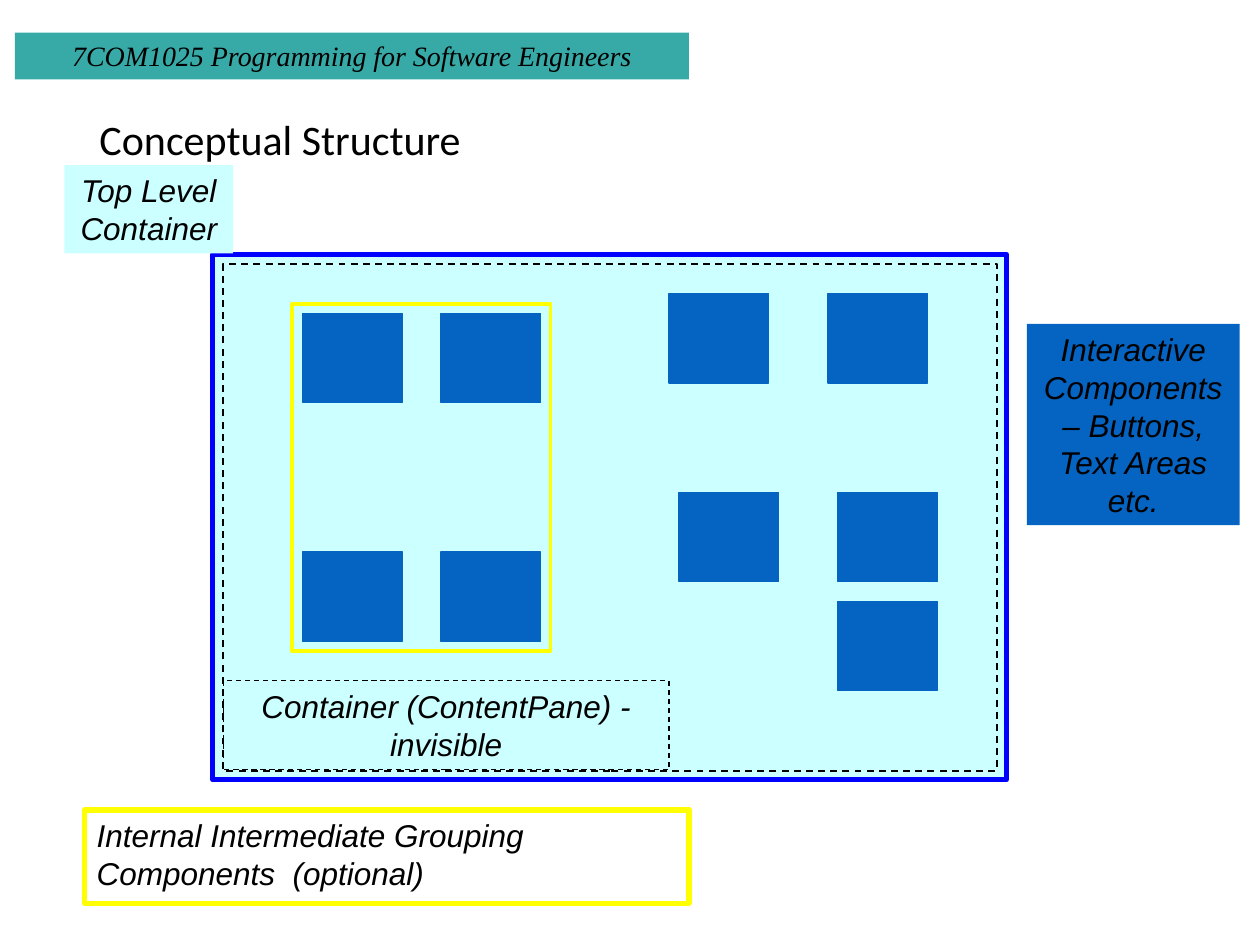
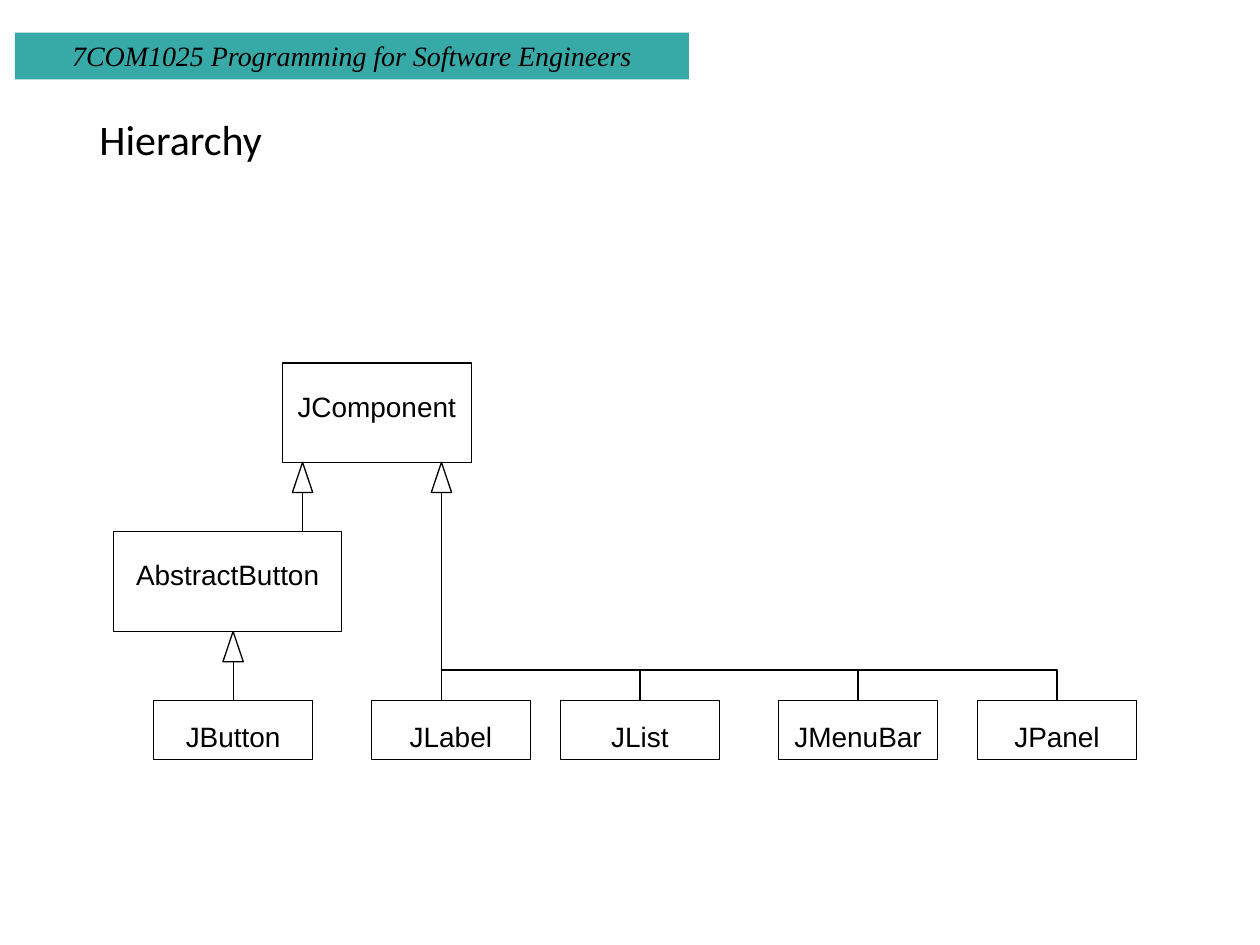
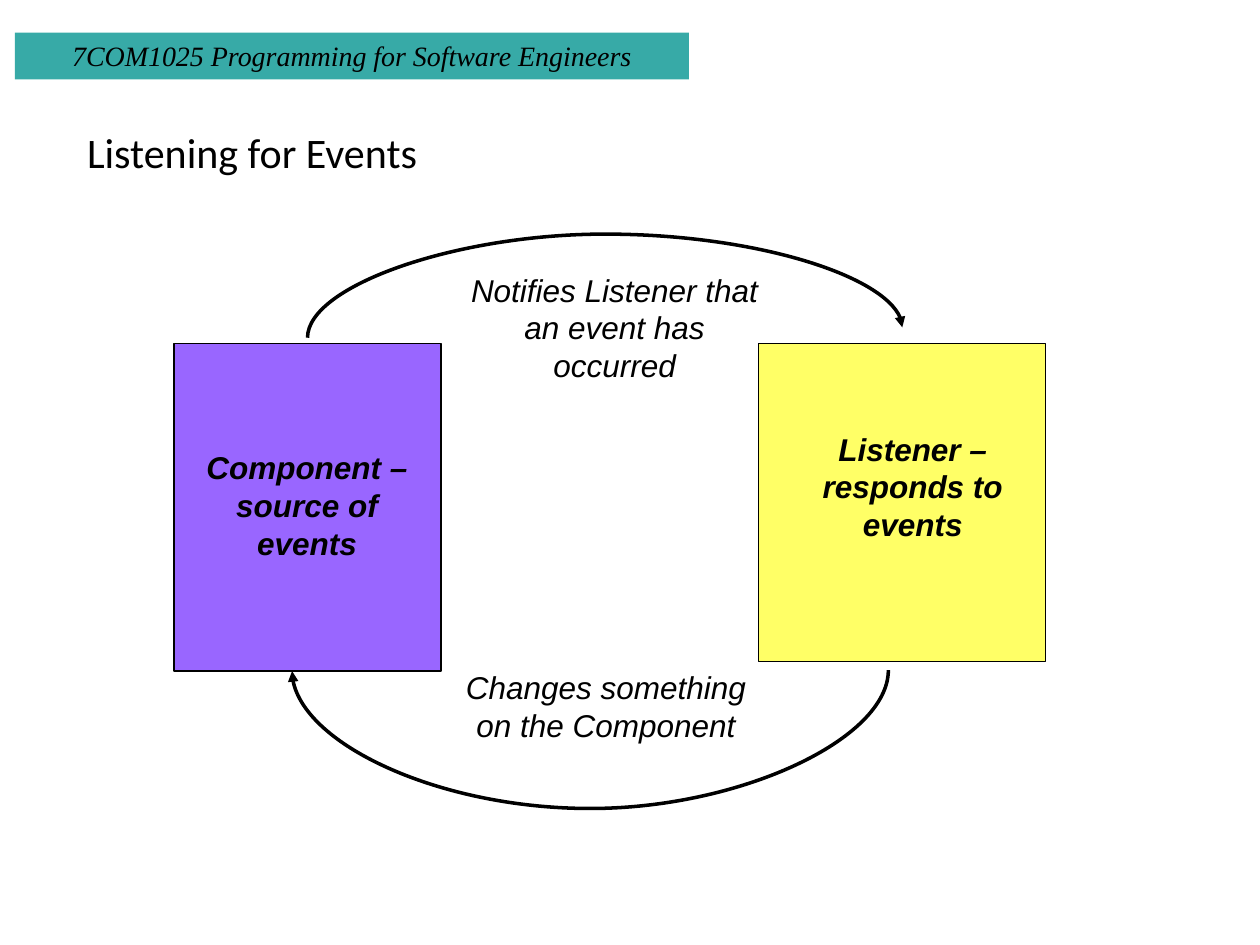
from lxml import etree
from pptx import Presentation
from pptx.dml.color import RGBColor
from pptx.enum.dml import MSO_LINE
from pptx.enum.shapes import MSO_CONNECTOR, MSO_SHAPE
from pptx.enum.text import MSO_ANCHOR, PP_ALIGN
from pptx.oxml.ns import qn
from pptx.util import Cm, Pt

# Shared look; every length is in centimetres
BLACK, TEAL, PALE, BLUE = "000000", "37AAA7", "CCFFFF", "0563C1"
NAVY, YELLOW, PURPLE, LEMON = "0000FF", "FFFF00", "9966FF", "FFFF66"
BAND_TEXT = "7COM1025 Programming for Software Engineers"
BAND_AREA = (0.3, 0.66, 13.59, 0.94)
TITLE_AREA = (1.75, 1.02, 21.9, 3.68)
LOW_TITLE_AREA = (1.5, 2.49, 22.86, 1.27)

# Conceptual structure
FRAME = (4.29, 5.13, 16, 10.59)
PANE = (4.5, 5.33, 15.6, 10.21)
GROUPING = (5.89, 6.12, 5.21, 7.01)
WIDGET_SIZE = (2.01, 1.8)
GROUPED_WIDGETS = [(x, y) for y in (6.32, 11.13) for x in (6.1, 8.89)]
FREE_WIDGETS = [(13.49, 5.92), (16.69, 5.92), (13.69, 9.93),
                (16.89, 9.93), (16.89, 12.12)]

# Class hierarchy
PARENTS = [("JComponent", (5.69, 7.32, 3.81, 2.01)),
           ("AbstractButton", (2.29, 10.72, 4.6, 2.01))]
LEAVES = [("JButton", 3.1), ("JLabel", 7.49), ("JList", 11.3),
          ("JMenuBar", 15.7), ("JPanel", 19.71)]
LEAF_TOP, LEAF_W, LEAF_H = 14.12, 3.2, 1.19
TRUNK_X, BUS_Y = 8.9, 13.51
HEAD_W, HEAD_H = 0.41, 0.61
INHERITANCE = [(TRUNK_X, 9.32, LEAF_TOP), (6.1, 9.32, 10.72),
               (4.7, 12.73, LEAF_TOP)]  # x, parent bottom, child top

# Event cycle: text, area, fill, (left, top, right) inset
ACTORS = [
    ("Component \u2013 source of events", (3.51, 6.93, 5.38, 6.6), PURPLE,
     (0.64, 2.11, 0.66)),
    ("Listener \u2013 responds to events", (15.29, 6.93, 5.79, 6.4), LEMON,
     (1.07, 1.73, 0.64)),
]
MESSAGES = [
    ("Changes something on the Component", (8.71, 13.34, 7.01, 1.78)),
    ("Notifies Listener that an event has occurred", (9.09, 5.33, 6.6, 2.54)),
]
ARCS = [((17.91, 13.51), (5.89, 13.53), 16.3),
        ((6.2, 6.81), (18.19, 6.6), 4.72)]  # start, end, furthest y


def rgb(code):
    """Turn a hex string into a colour."""
    return RGBColor.from_string(code)


def place(area):
    """Convert centimetre values to lengths."""
    return [Cm(value) for value in area]


def write(frame, text, size=18, font="Arial", bold=False, italic=True,
          align=PP_ALIGN.CENTER, inset=None):
    """Put one formatted, wrapped paragraph in a text frame."""
    frame.word_wrap = True
    frame.vertical_anchor = MSO_ANCHOR.TOP
    if inset:
        frame.margin_left, frame.margin_top, frame.margin_right = place(inset)
    paragraph = frame.paragraphs[0]
    paragraph.alignment = align
    run = paragraph.add_run()
    run.text = text
    run.font.size, run.font.name = Pt(size), font
    run.font.bold, run.font.italic = bold, italic
    run.font.color.rgb = rgb(BLACK)
    return paragraph


def box(slide, area, fill=None, line=None, width=0.75, dashed=False,
        text=None, kind=MSO_SHAPE.RECTANGLE, **style):
    """Draw a preset shape, with text if given."""
    shape = slide.shapes.add_shape(kind, *place(area))
    shape.shadow.inherit = False
    if fill:
        shape.fill.solid()
        shape.fill.fore_color.rgb = rgb(fill)
    else:
        shape.fill.background()
    if line:
        shape.line.color.rgb = rgb(line)
        shape.line.width = Pt(width)
        if dashed:
            shape.line.dash_style = MSO_LINE.DASH
    else:
        shape.line.fill.background()
    if text:
        write(shape.text_frame, text, **style)
    return shape


def connect(slide, start, end, kind=MSO_CONNECTOR.STRAIGHT, width=0.75):
    """Draw a black connector without shadow."""
    line = slide.shapes.add_connector(kind, *place(start + end))
    line.line.color.rgb = rgb(BLACK)
    line.line.width = Pt(width)
    etree.SubElement(line.element.spPr, qn("a:effectLst"))
    return line


def elbow(slide, start, end):
    """Draw a connector that goes across, then down."""
    line = connect(slide, start, end, MSO_CONNECTOR.ELBOW)
    line.element.spPr.find(qn("a:prstGeom")).set("prst", "bentConnector2")


def arc(slide, start, end, peak):
    """Draw a curved arrow that bulges up or down to the peak height."""
    line = connect(slide, start, end, MSO_CONNECTOR.CURVE, 2)
    across, rise = abs(end[0] - start[0]), abs(end[1] - start[1])
    middle_x, middle_y = [(a + b) / 2 for a, b in zip(start, end)]
    line.left, line.top, line.width, line.height = place(
        (middle_x - rise / 2, middle_y - across / 2, rise, across))
    properties = line.element.spPr
    xfrm = properties.find(qn("a:xfrm"))
    turn = 90 if peak < start[1] else 270
    for name, value in (("rot", turn * 60000), ("flipH", 1), ("flipV", 1)):
        xfrm.set(name, str(value))
    guides = properties.find(qn("a:prstGeom")).find(qn("a:avLst"))
    bulge = round(abs(peak - start[1]) / rise * 100000)
    etree.SubElement(guides, qn("a:gd"), name="adj1", fmla=f"val {bulge}")
    etree.SubElement(properties.find(qn("a:ln")), qn("a:tailEnd"),
                     type="triangle")


def new_slide(deck, title, area=TITLE_AREA):
    """Add a slide with its title."""
    slide = deck.slides.add_slide(deck.slide_layouts[5])
    holder = slide.shapes.title
    holder.left, holder.top, holder.width, holder.height = place(area)
    paragraph = write(holder.text_frame, title, 24, "Calibri", italic=False,
                      align=PP_ALIGN.LEFT)
    paragraph.line_spacing = 0.9
    holder.text_frame.vertical_anchor = MSO_ANCHOR.MIDDLE
    return slide


def add_band(slide):
    """Draw the course band and move it to the shared layout."""
    band = box(slide, BAND_AREA, TEAL, text=BAND_TEXT, size=16,
               font="Times New Roman")
    slide.slide_layout.element.cSld.spTree.append(band.element)


def draw_structure(slide):
    """Draw the nested containers and their widgets."""
    box(slide, FRAME, PALE, NAVY, 3)
    box(slide, (1.3, 3.33, 3.4, 1.78), PALE, text="Top Level Container")
    box(slide, PANE, line=BLACK, width=1, dashed=True)
    box(slide, (4.5, 13.72, 8.99, 1.8), line=BLACK, dashed=True,
        text="Container (ContentPane) - invisible")
    box(slide, GROUPING, line=YELLOW, width=2.25)
    box(slide, (1.7, 16.33, 12.19, 1.88), line=YELLOW, width=3,
        text="Internal Intermediate Grouping Components  (optional)",
        align=PP_ALIGN.LEFT)
    for corner in FREE_WIDGETS + GROUPED_WIDGETS:
        box(slide, corner + WIDGET_SIZE, BLUE, BLUE)
    box(slide, (20.7, 6.53, 4.29, 4.06), BLUE,
        text="Interactive Components \u2013 Buttons, Text Areas etc.")


def draw_hierarchy(slide):
    """Draw the class boxes and inheritance lines."""
    leaves = [(name, (x, LEAF_TOP, LEAF_W, LEAF_H)) for name, x in LEAVES]
    for classes, text_top in ((PARENTS, 0.53), (leaves, 0.38)):
        for name, area in classes:
            box(slide, area, line=BLACK, text=name, size=16, italic=False,
                inset=(0.25, text_top, 0.25))
    for x, top, bottom in INHERITANCE:
        box(slide, (x - HEAD_W / 2, top, HEAD_W, HEAD_H), line=BLACK,
            kind=MSO_SHAPE.ISOSCELES_TRIANGLE)
        connect(slide, (x, top + HEAD_H), (x, bottom))
    bus_x = TRUNK_X
    for _, x in LEAVES[2:]:
        centre = x + LEAF_W / 2
        elbow(slide, (bus_x, BUS_Y), (centre, LEAF_TOP))
        bus_x = centre


def draw_events(slide):
    """Draw the two actors and the arrows between them."""
    for text, area, fill, inset in ACTORS:
        box(slide, area, fill, BLACK, text=text, bold=True, inset=inset)
    for start, end, peak in ARCS:
        arc(slide, start, end, peak)
    for text, area in MESSAGES:
        label = slide.shapes.add_textbox(*place(area))
        write(label.text_frame, text)


def main():
    """Build and save the deck."""
    deck = Presentation()
    deck.slide_width, deck.slide_height = Cm(25.4), Cm(19.05)
    structure = new_slide(deck, "Conceptual Structure")
    add_band(structure)
    draw_structure(structure)
    draw_hierarchy(new_slide(deck, "Hierarchy"))
    draw_events(new_slide(deck, "Listening for Events", LOW_TITLE_AREA))
    deck.save("out.pptx")


main()
